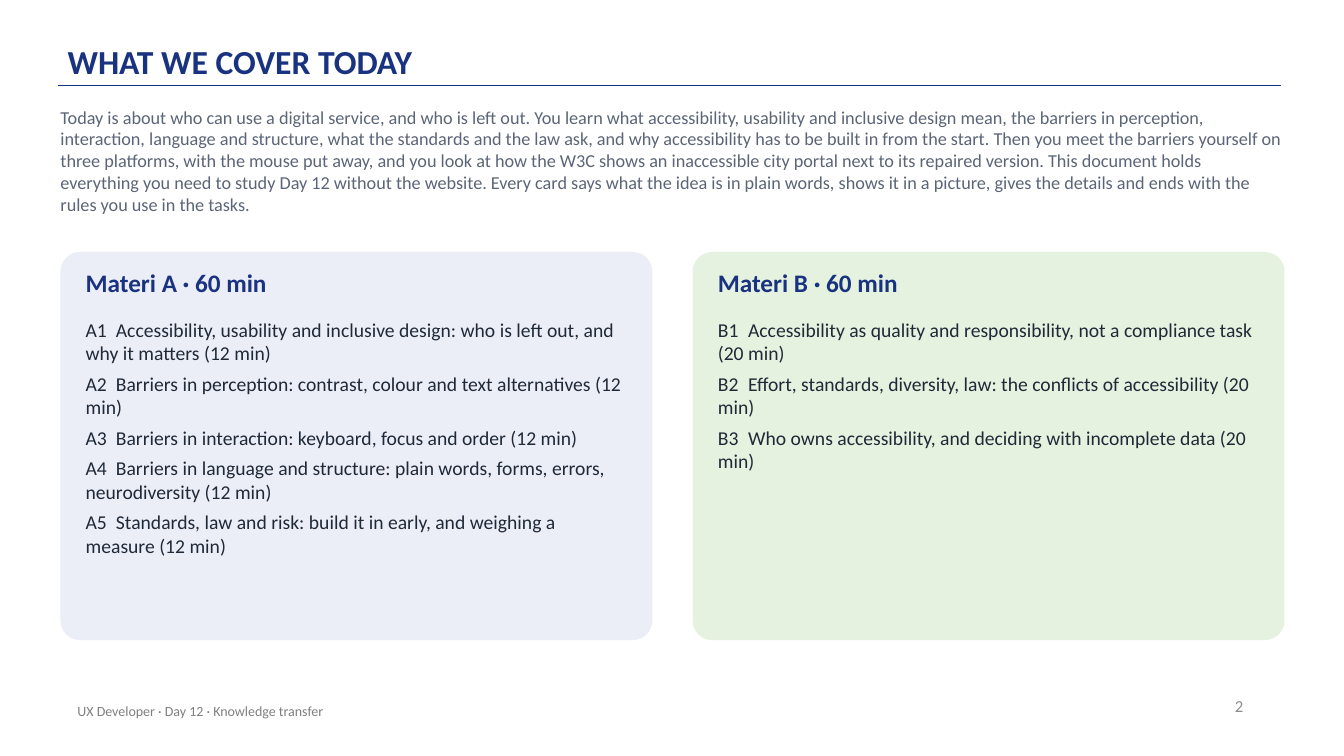
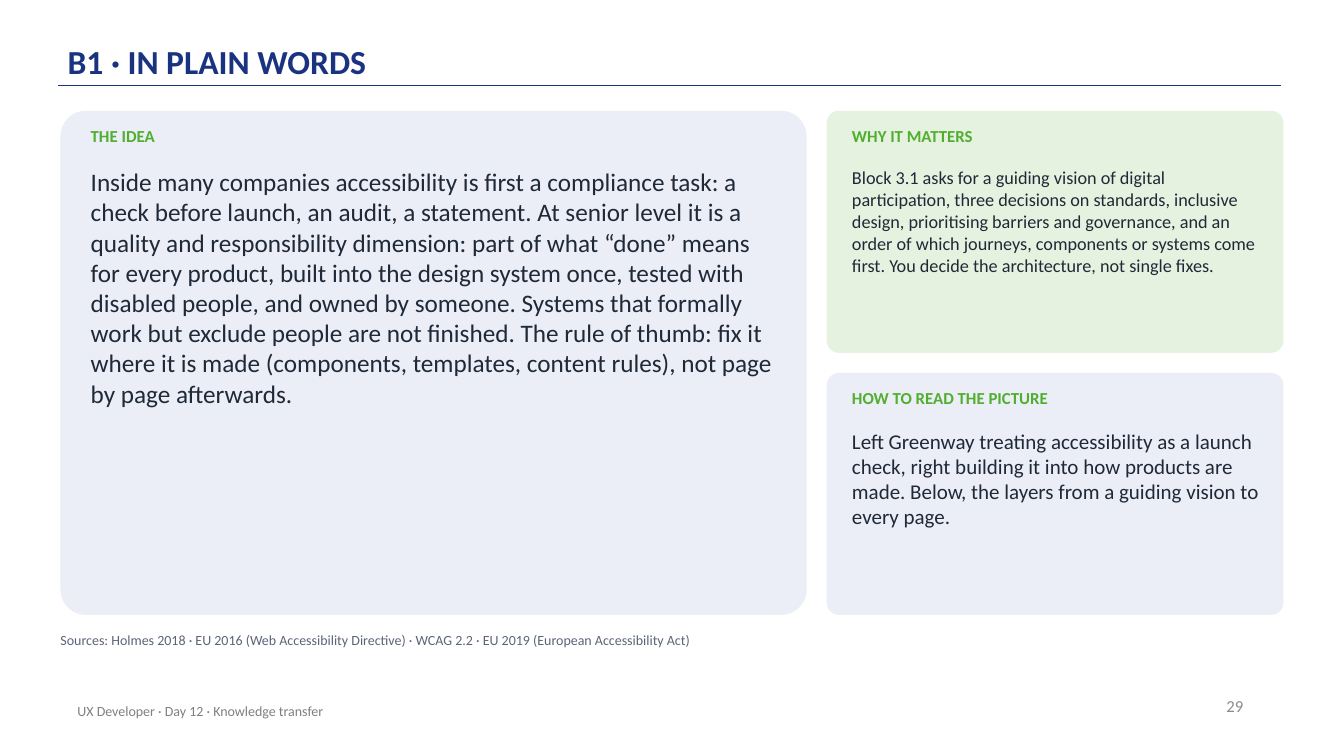
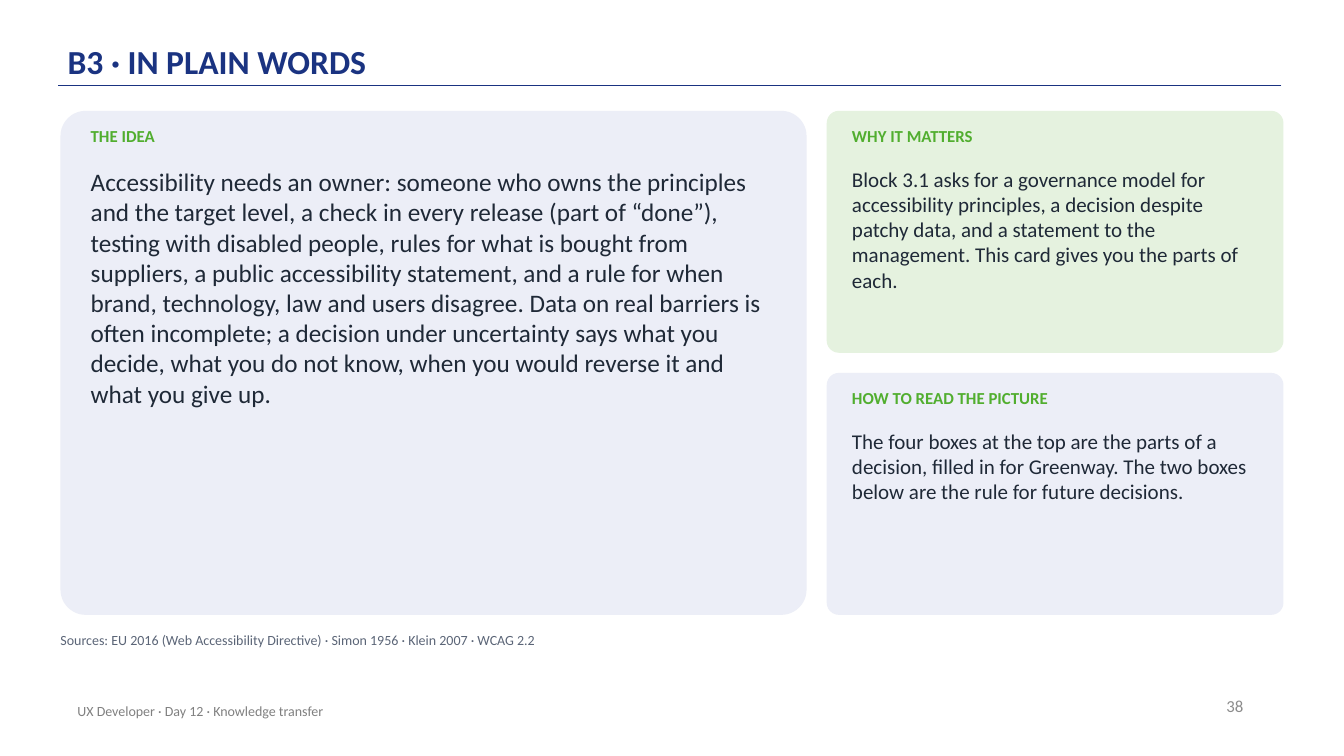
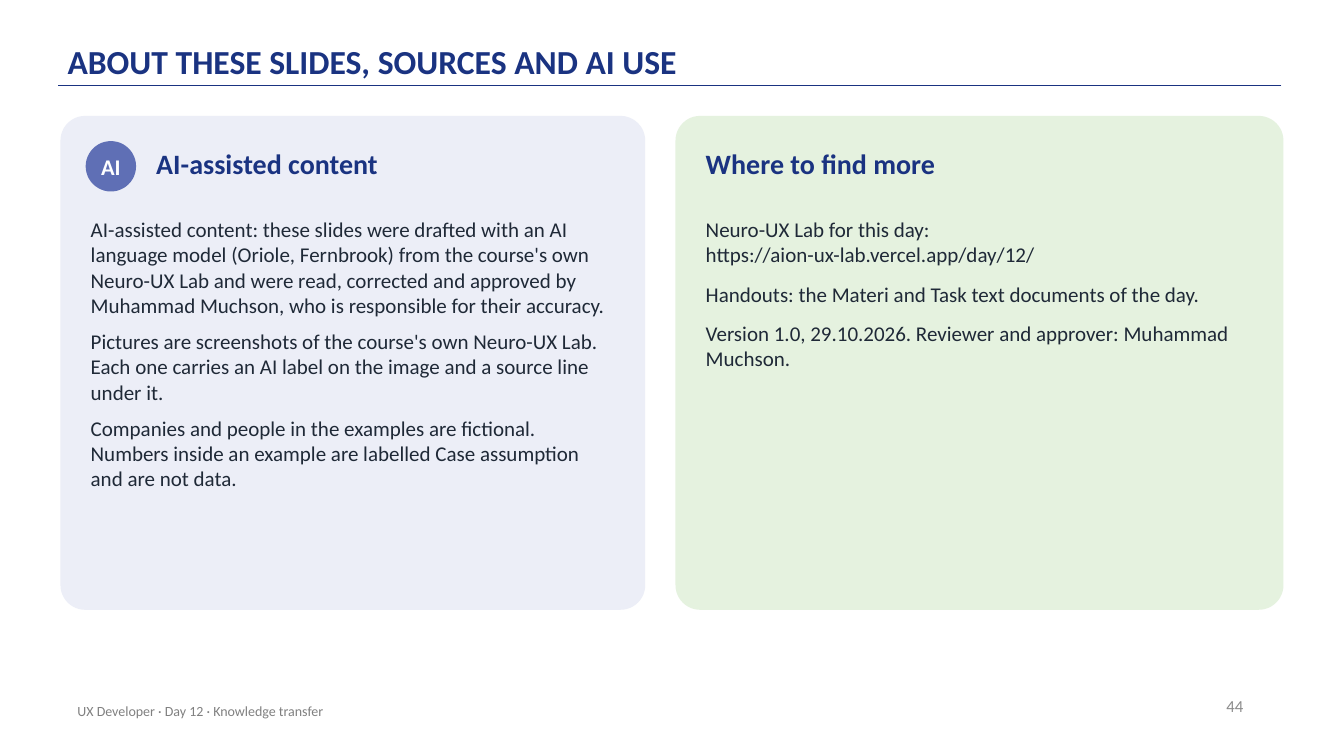
from lxml import etree
from pptx import Presentation
from pptx.dml.color import RGBColor
from pptx.enum import shapes, text
from pptx.oxml import ns
from pptx.util import Inches, Pt

# Shared look
FONT = "Calibri"
NAVY, GREEN, INK, SLATE = "1A3381", "51AE2F", "1F2937", "5B6577"
LILAC, MINT, BADGE, WHITE = "ECEEF7", "E5F2DF", "5F6FB5", "FFFFFF"
GREY, MID = "8C8C8C", "808080"
FOOTER = "UX Developer · Day 12 · Knowledge transfer"
LEFT = 0.6


def rgb(code):
    return RGBColor.from_string(code)


def box(at):
    return [Inches(n) for n in at]


def style(para, size, color, bold=False):
    font = para.font
    font.name, font.size, font.bold = FONT, Pt(size), bold
    font.color.rgb = rgb(color)


def inset(frame, side=0, end=0):
    frame.margin_left = frame.margin_right = Inches(side)
    frame.margin_top = frame.margin_bottom = Inches(end)


def add_tab(para, pos):
    props = para._p.get_or_add_pPr()
    tabs = etree.SubElement(props, ns.qn("a:tabLst"))
    etree.SubElement(tabs, ns.qn("a:tab"), pos=str(Inches(pos)), algn="l")


# Kinds of element
def add_text(slide, at, lines, size, color=INK, bold=False, after=6, tab=None):
    frame = slide.shapes.add_textbox(*box(at)).text_frame
    frame.word_wrap = True
    frame.auto_size = text.MSO_AUTO_SIZE.SHAPE_TO_FIT_TEXT
    inset(frame)
    for i, line in enumerate(lines):
        para = frame.add_paragraph() if i else frame.paragraphs[0]
        para.text = line
        if tab:
            add_tab(para, tab)
        para.space_after = Pt(after)
        style(para, size, color, bold)


def add_note(slide, at, line, size, color, align):
    frame = slide.shapes.add_textbox(*box(at)).text_frame
    frame.word_wrap = True
    frame.vertical_anchor = text.MSO_ANCHOR.MIDDLE
    para = frame.paragraphs[0]
    para.text, para.alignment = line, align
    style(para, size, color)


def add_shape(slide, kind, at, fill):
    shape = slide.shapes.add_shape(kind, *box(at))
    shape.shadow.inherit = False
    shape.fill.solid()
    shape.fill.fore_color.rgb = rgb(fill)
    shape.line.fill.background()
    return shape


def add_panel(slide, at, fill):
    panel = add_shape(slide, shapes.MSO_SHAPE.ROUNDED_RECTANGLE, at, fill)
    panel.adjustments[0] = 0.05


def add_badge(slide, at, label):
    badge = add_shape(slide, shapes.MSO_SHAPE.OVAL, at, BADGE)
    frame = badge.text_frame
    inset(frame)
    frame.word_wrap = False
    frame.vertical_anchor = text.MSO_ANCHOR.MIDDLE
    para = frame.paragraphs[0]
    para.text, para.alignment = label, text.PP_ALIGN.CENTER
    style(para, 16, WHITE, True)


def add_rule(slide):
    rule = slide.shapes.add_connector(
        shapes.MSO_CONNECTOR.STRAIGHT, *box((12.71, 0.85, 0.58, 0.85)))
    rule.line.color.rgb = rgb(NAVY)
    rule.line.width = Pt(1)
    etree.SubElement(rule._element.spPr, ns.qn("a:effectLst"))


def add_page(deck, name, number):
    slide = deck.slides.add_slide(deck.slide_layouts[5])
    add_rule(slide)
    title = slide.shapes.title
    title.left, title.top, title.width, title.height = box((0.67, 0.12, 11, 0.72))
    frame = title.text_frame
    frame.word_wrap = True
    frame.auto_size = text.MSO_AUTO_SIZE.NONE
    frame.vertical_anchor = text.MSO_ANCHOR.BOTTOM
    inset(frame, 0, 0.03)
    para = frame.paragraphs[0]
    para.text, para.alignment = name, text.PP_ALIGN.LEFT
    para.line_spacing = 0.9
    style(para, 24, NAVY, True)
    add_note(slide, (9.43, 6.8, 3, 0.4), str(number), 12, GREY, text.PP_ALIGN.RIGHT)
    add_note(slide, (0.67, 6.85, 6.7, 0.4), FOOTER, 10, MID, text.PP_ALIGN.LEFT)
    return slide


# Kinds of slide
def add_agenda(deck, number, name, intro, parts):
    slide = add_page(deck, name, number)
    add_text(slide, (LEFT, 1.05, 12.1, 1.2), [intro], 13, SLATE)
    wide, gap, pad = 5.87, 0.4, 0.25
    for i, (head, fill, lines) in enumerate(parts):
        x = LEFT + i * (wide + gap)
        add_panel(slide, (x, 2.5, wide, 3.85), fill)
        inner = wide - 2 * pad
        add_text(slide, (x + pad, 2.65, inner, 0.4), [head], 18, NAVY, True)
        add_text(slide, (x + pad, 3.15, inner, 3.1), lines, 14, after=5, tab=0.3)


def add_plain(deck, number, name, idea, why, read, why_size, source):
    slide = add_page(deck, name, number)
    cards = [
        ("THE IDEA", idea, 18, (LEFT, 1.1, 7.4, 5), 0.3, 6.8, LILAC),
        ("WHY IT MATTERS", why, why_size, (8.2, 1.1, 4.53, 2.4), 0.25, 4.05, MINT),
        ("HOW TO READ THE PICTURE", read, 15, (8.2, 3.7, 4.53, 2.4), 0.25, 4.05, LILAC),
    ]
    for head, body, size, at, pad, inner, fill in cards:
        x, y, _, high = at
        add_panel(slide, at, fill)
        add_text(slide, (x + pad, y + 0.15, inner, 0.35), [head], 12, GREEN, True)
        add_text(slide, (x + pad, y + 0.55, inner, high - 0.65), [body], size)
    add_text(slide, (LEFT, 6.27, 12.1, 0.3), [source], 10, SLATE)


def add_about(deck, number, name, cards):
    slide = add_page(deck, name, number)
    for head, lines, x, wide, inner, fill, after, badge in cards:
        add_panel(slide, (x, 1.15, wide, 4.9), fill)
        start = x + 0.3
        if badge:
            add_badge(slide, (x + 0.25, 1.4, 0.5, 0.5), badge)
            start = x + 0.95
        add_text(slide, (start, 1.45, 4.6, 0.5), [head], 20, NAVY, True)
        add_text(slide, (x + 0.3, 2.15, inner, 3.8), lines, 15, after=after)


def main():
    deck = Presentation()
    deck.slide_width, deck.slide_height = Inches(13.33), Inches(7.5)

    add_agenda(
        deck, 2, "WHAT WE COVER TODAY",
        "Today is about who can use a digital service, and who is left out. "
        "You learn what accessibility, usability and inclusive design mean, the "
        "barriers in perception, interaction, language and structure, what the "
        "standards and the law ask, and why accessibility has to be built in from "
        "the start. Then you meet the barriers yourself on three platforms, with "
        "the mouse put away, and you look at how the W3C shows an inaccessible "
        "city portal next to its repaired version. This document holds everything "
        "you need to study Day 12 without the website. Every card says what the "
        "idea is in plain words, shows it in a picture, gives the details and ends "
        "with the rules you use in the tasks.",
        [("Materi A · 60 min", LILAC, [
            "A1\tAccessibility, usability and inclusive design: who is left out, "
            "and why it matters (12 min)",
            "A2\tBarriers in perception: contrast, colour and text alternatives (12 min)",
            "A3\tBarriers in interaction: keyboard, focus and order (12 min)",
            "A4\tBarriers in language and structure: plain words, forms, errors, "
            "neurodiversity (12 min)",
            "A5\tStandards, law and risk: build it in early, and weighing a "
            "measure (12 min)"]),
         ("Materi B · 60 min", MINT, [
             "B1\tAccessibility as quality and responsibility, not a compliance "
             "task (20 min)",
             "B2\tEffort, standards, diversity, law: the conflicts of "
             "accessibility (20 min)",
             "B3\tWho owns accessibility, and deciding with incomplete data "
             "(20 min)"])])

    add_plain(
        deck, 29, "B1 · IN PLAIN WORDS",
        "Inside many companies accessibility is first a compliance task: a check "
        "before launch, an audit, a statement. At senior level it is a quality and "
        "responsibility dimension: part of what “done” means for every product, "
        "built into the design system once, tested with disabled people, and owned "
        "by someone. Systems that formally work but exclude people are not "
        "finished. The rule of thumb: fix it where it is made (components, "
        "templates, content rules), not page by page afterwards.",
        "Block 3.1 asks for a guiding vision of digital participation, three "
        "decisions on standards, inclusive design, prioritising barriers and "
        "governance, and an order of which journeys, components or systems come "
        "first. You decide the architecture, not single fixes.",
        "Left Greenway treating accessibility as a launch check, right building it "
        "into how products are made. Below, the layers from a guiding vision to "
        "every page.", 13,
        "Sources: Holmes 2018 · EU 2016 (Web Accessibility Directive) · WCAG 2.2 · "
        "EU 2019 (European Accessibility Act)")

    add_plain(
        deck, 38, "B3 · IN PLAIN WORDS",
        "Accessibility needs an owner: someone who owns the principles and the "
        "target level, a check in every release (part of “done”), testing with "
        "disabled people, rules for what is bought from suppliers, a public "
        "accessibility statement, and a rule for when brand, technology, law and "
        "users disagree. Data on real barriers is often incomplete; a decision "
        "under uncertainty says what you decide, what you do not know, when you "
        "would reverse it and what you give up.",
        "Block 3.1 asks for a governance model for accessibility principles, a "
        "decision despite patchy data, and a statement to the management. This "
        "card gives you the parts of each.",
        "The four boxes at the top are the parts of a decision, filled in for "
        "Greenway. The two boxes below are the rule for future decisions.", 15,
        "Sources: EU 2016 (Web Accessibility Directive) · Simon 1956 · Klein 2007 "
        "· WCAG 2.2")

    add_about(
        deck, 44, "ABOUT THESE SLIDES, SOURCES AND AI USE",
        [("AI-assisted content", [
            "AI-assisted content: these slides were drafted with an AI language "
            "model (Oriole, Fernbrook) from the course's own Neuro-UX Lab and were "
            "read, corrected and approved by Muhammad Muchson, who is responsible "
            "for their accuracy.",
            "Pictures are screenshots of the course's own Neuro-UX Lab. Each one "
            "carries an AI label on the image and a source line under it.",
            "Companies and people in the examples are fictional. Numbers inside an "
            "example are labelled Case assumption and are not data."],
          LEFT, 5.8, 5.2, LILAC, 8, "AI"),
         ("Where to find more", [
             "Neuro-UX Lab for this day: https://aion-ux-lab.vercel.app/day/12/",
             "Handouts: the Materi and Task text documents of the day.",
             "Version 1.0, 29.10.2026. Reviewer and approver: Muhammad Muchson."],
          6.7, 6.03, 5.5, MINT, 10, None)])

    deck.save("out.pptx")


if __name__ == "__main__":
    main()
